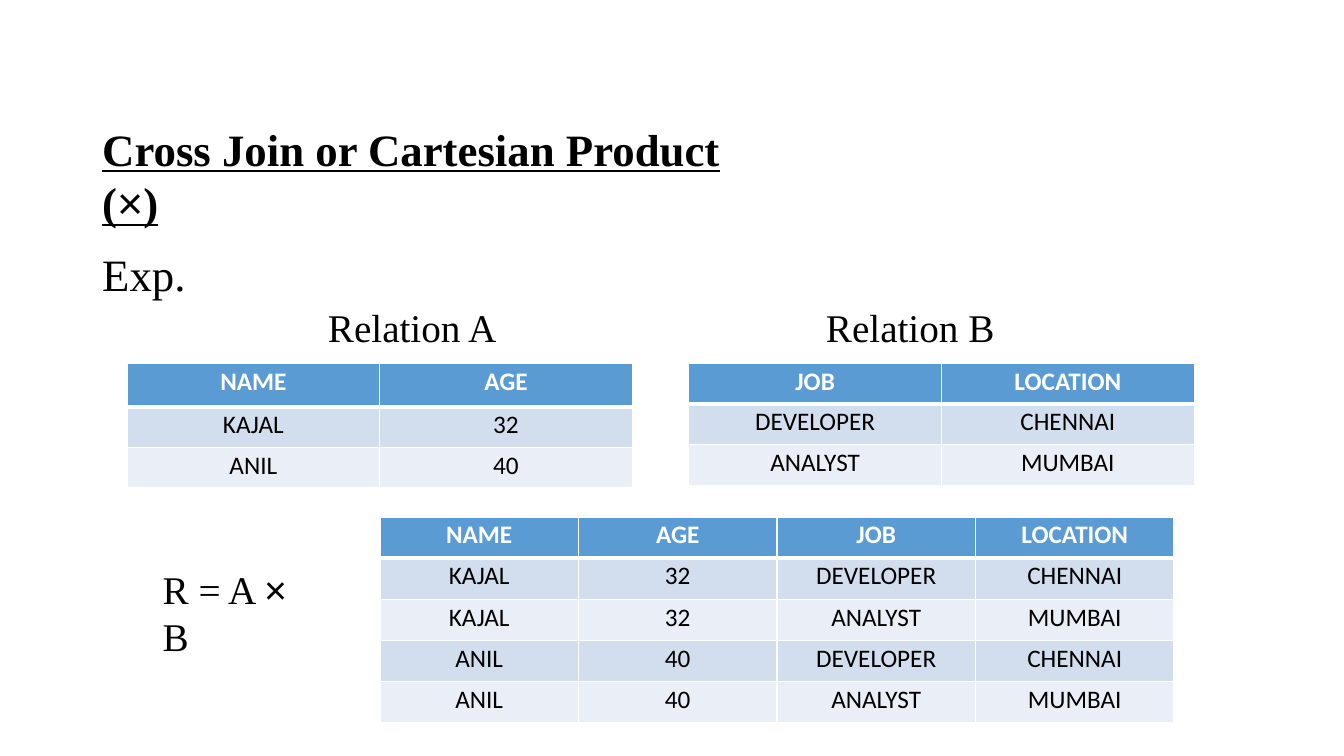
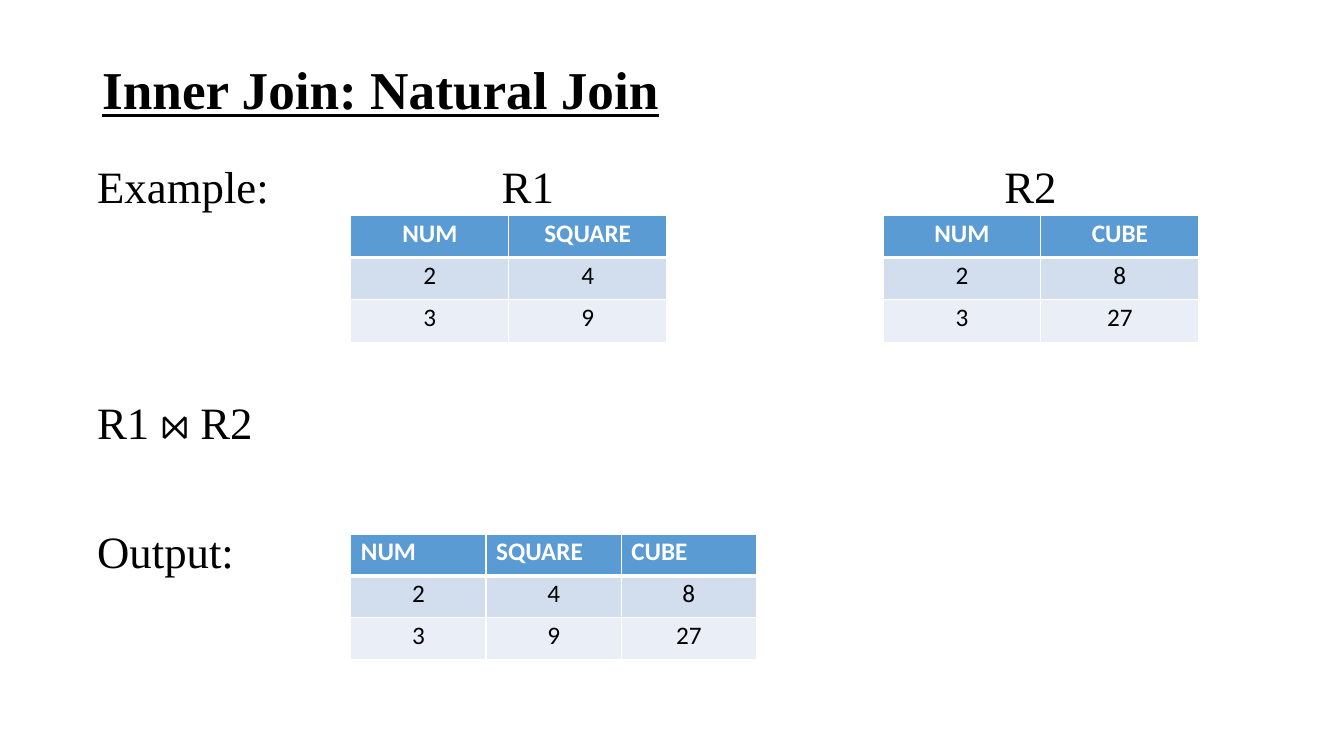
"""Build two slides on joins in relational algebra."""
from lxml import etree
from pptx import Presentation
from pptx.dml.color import RGBColor
from pptx.enum import text as t
from pptx.oxml import ns
from pptx.util import Pt

COLOURS = {"ink": "000000", "paper": "FFFFFF", "header": "5B9BD4",
           "odd": "D2DEEE", "even": "EAEEF7"}
SERIF, SANS, TABLE_FONT = "Times New Roman", "Arial", "Calibri"
LEFT, TITLE_LEFT = 68.4, 72
THIN, THICK = 1, 3


def colour(name):
    """Return a palette colour."""
    return RGBColor.from_string(COLOURS[name])


def add_run(paragraph, words, size, font=SERIF, ink="ink", bold=False, underline=False):
    """Append one formatted run to a paragraph."""
    run = paragraph.add_run()
    run.text = words
    run.font.name = font
    run.font.size = Pt(size)
    run.font.bold = bold
    run.font.underline = underline
    run.font.color.rgb = colour(ink)


def prepare_frame(shape):
    """Give a text shape tight margins, wrapping and top anchoring."""
    frame = shape.text_frame
    frame.word_wrap = True
    frame.auto_size = t.MSO_AUTO_SIZE.NONE
    frame.vertical_anchor = t.MSO_ANCHOR.TOP
    frame.margin_left = frame.margin_top = Pt(1)
    frame.margin_right = frame.margin_bottom = 0
    return frame


def add_titled_slide(presentation, runs, top, width, height, size):
    """Add a slide whose title is bold and underlined."""
    slide = presentation.slides.add_slide(presentation.slide_layouts[5])
    title = slide.shapes.title
    title.left, title.top = Pt(TITLE_LEFT), Pt(top)
    title.width, title.height = Pt(width), Pt(height)
    paragraph = prepare_frame(title).paragraphs[0]
    paragraph.alignment = t.PP_ALIGN.LEFT
    for words, font, bold in runs:
        add_run(paragraph, words, size, font, bold=bold, underline=True)
    return slide


def add_label(slide, left, top, width, height, paragraphs, size=32, gap=0, tab=None):
    """Add a text box from paragraphs, each a list of words and font pairs."""
    frame = prepare_frame(slide.shapes.add_textbox(Pt(left), Pt(top), Pt(width), Pt(height)))
    for index, runs in enumerate(paragraphs):
        paragraph = frame.add_paragraph() if index else frame.paragraphs[0]
        if tab:
            stops = etree.SubElement(paragraph._p.get_or_add_pPr(), ns.qn("a:tabLst"))
            etree.SubElement(stops, ns.qn("a:tab"), pos=str(Pt(tab)), algn="l")
        if index:
            paragraph.space_before = Pt(gap)
        for words, font in runs:
            add_run(paragraph, words, size, font)


def set_borders(cell, top, bottom):
    """Draw white borders round a cell."""
    properties = cell._tc.get_or_add_tcPr()
    for side, width in (("L", THIN), ("R", THIN), ("T", top), ("B", bottom)):
        line = etree.SubElement(properties, ns.qn(f"a:ln{side}"), w=str(Pt(width)))
        fill = etree.SubElement(line, ns.qn("a:solidFill"))
        etree.SubElement(fill, ns.qn("a:srgbClr"), val=COLOURS["paper"])


def fill_cell(cell, words, row, header_align):
    """Style and fill a cell according to its row."""
    is_header = row == 0
    set_borders(cell, THICK if row == 1 else THIN, THICK if is_header else THIN)
    cell.fill.solid()
    cell.fill.fore_color.rgb = colour("header" if is_header else "odd" if row % 2 else "even")
    align = header_align if is_header else t.PP_ALIGN.CENTER
    cell.margin_left = Pt(7.2 if align == t.PP_ALIGN.LEFT else 0)
    cell.margin_right = cell.margin_bottom = 0
    cell.margin_top = Pt(2)
    paragraph = cell.text_frame.paragraphs[0]
    paragraph.alignment = align
    add_run(paragraph, words, 18, TABLE_FONT, "paper" if is_header else "ink", bold=is_header)


def add_relation(slide, left, top, column_width, row_height, rows,
                 header_height=None, header_align=t.PP_ALIGN.CENTER):
    """Add a relation as a banded table with equal columns."""
    header_height = header_height or row_height
    columns = len(rows[0])
    height = header_height + row_height * (len(rows) - 1)
    table = slide.shapes.add_table(len(rows), columns, Pt(left), Pt(top),
                                   Pt(column_width * columns), Pt(height)).table
    for column in table.columns:
        column.width = Pt(column_width)
    for row, values in enumerate(rows):
        table.rows[row].height = Pt(row_height if row else header_height)
        for column, words in enumerate(values):
            fill_cell(table.cell(row, column), words, row, header_align)


def build_cross_join(presentation):
    """Build the Cartesian product slide."""
    title = [("Cross Join or Cartesian Product (", SERIF, True), ("×", SANS, False),
             (")", SERIF, True)]
    slide = add_titled_slide(presentation, title, 85.7, 482, 80, 32)
    people = [("NAME", "AGE"), ("KAJAL", "32"), ("ANIL", "40")]
    posts = [("JOB", "LOCATION"), ("DEVELOPER", "CHENNAI"), ("ANALYST", "MUMBAI")]
    product = [people[0] + posts[0]]
    product += [person + post for person in people[1:] for post in posts[1:]]

    add_label(slide, TITLE_LEFT, 175, 62, 40, [[("Exp.", SERIF)]])
    for letter, left in (("A", 233.3), ("B", 589)):
        add_label(slide, left, 215.3, 124, 35, [[("Relation ", SERIF), (letter, SERIF)]], 28)
    add_label(slide, 115.2, 402.5, 114, 72,
              [[("R = A ", SERIF), ("× ", SANS), ("B", SERIF)]], 28)
    add_relation(slide, 90.7, 259.5, 180.5, 29, people, header_height=31)
    add_relation(slide, 492, 259.5, 180.5, 29, posts)
    add_relation(slide, 271.4, 369.3, 141.8, 29.4, product)


def build_natural_join(presentation):
    """Build the natural join slide."""
    title = [("Inner Join: Natural Join", SERIF, True)]
    slide = add_titled_slide(presentation, title, 39.5, 819, 47, 38)
    squares = [("NUM", "SQUARE"), ("2", "4"), ("3", "9")]
    cubes = [("NUM", "CUBE"), ("2", "8"), ("3", "27")]
    joined = [square + cube[1:] for square, cube in zip(squares, cubes)]

    add_label(slide, LEFT, 112.3, 328, 40, [[("Example:\t", SERIF), ("R1", SERIF)]], tab=289)
    add_label(slide, 716.4, 112.3, 45, 40, [[("R2", SERIF)]])
    add_label(slide, LEFT, 281, 125, 130,
              [[("R1 ⋈ ", SERIF), ("R2", SERIF)], [("Output:", SERIF)]], gap=54)
    for left, rows in ((250.6, squares), (630.7, cubes)):
        add_relation(slide, left, 153.8, 112.8, 30.2, rows)
    add_relation(slide, 250.6, 381.5, 96.6, 29.8, joined, header_align=t.PP_ALIGN.LEFT)


def main():
    """Create and save the presentation."""
    presentation = Presentation()
    presentation.slide_width, presentation.slide_height = Pt(960), Pt(540)
    build_cross_join(presentation)
    build_natural_join(presentation)
    presentation.save("out.pptx")


if __name__ == "__main__":
    main()
